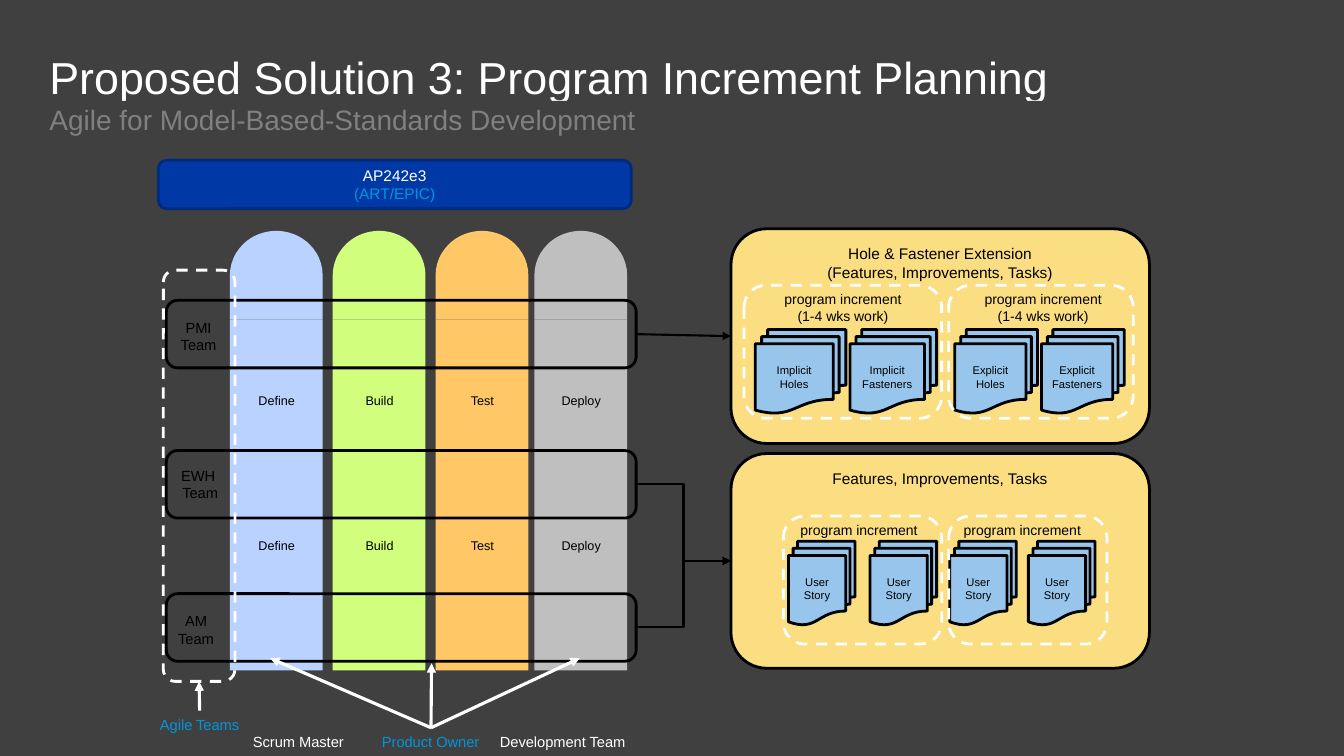
from lxml.etree import SubElement
from pptx import Presentation
from pptx.dml.color import RGBColor
from pptx.enum.dml import MSO_LINE
from pptx.enum.shapes import MSO_CONNECTOR, MSO_SHAPE
from pptx.enum.text import MSO_ANCHOR, PP_ALIGN
from pptx.oxml.ns import qn
from pptx.util import Inches, Pt

COLORS = {
    "background": "404040", "white": "FFFFFF", "black": "000000",
    "subtitle": "808080", "epic": "0039A6", "epic_edge": "002A7B",
    "accent": "0096DB", "define": "BAD2FF", "build": "D1FF7D",
    "test": "FFC766", "deploy": "BFBFBF", "feature": "FBDE81",
    "story": "97C5EB",
}
TOP, LEFT, BOTTOM, RIGHT = range(4)


def color(name):
    return RGBColor.from_string(COLORS[name])


class Board:
    font = "Arial"

    def __init__(self, slide):
        self.slide = slide
        self.shapes = slide.shapes
        fill = slide.background.fill
        fill.solid()
        fill.fore_color.rgb = color("background")

    def start_group(self):
        self.shapes = self.slide.shapes.add_group_shape().shapes

    def end_group(self):
        self.shapes = self.slide.shapes

    def add_lines(self, shape, lines, size, ink="black", align=PP_ALIGN.CENTER,
                  anchor=MSO_ANCHOR.TOP):
        frame = shape.text_frame
        frame.word_wrap = True
        frame.vertical_anchor = anchor
        for index, line in enumerate(lines):
            paragraph = frame.add_paragraph() if index else frame.paragraphs[0]
            paragraph.alignment = align
            runs = [(line, ink)] if isinstance(line, str) else line
            for words, run_ink in runs:
                run = paragraph.add_run()
                run.text = words
                run.font.name = self.font
                run.font.size = Pt(size)
                run.font.color.rgb = color(run_ink)

    def text(self, box, lines, size, **style):
        label = self.shapes.add_textbox(*map(Inches, box))
        self.add_lines(label, lines, size, **style)
        return label

    def heading(self, box, words, size, ink):
        label = self.text(box, [words], size, ink=ink, align=PP_ALIGN.LEFT,
                          anchor=MSO_ANCHOR.MIDDLE)
        frame = label.text_frame
        frame.margin_left = frame.margin_right = frame.margin_bottom = 0
        frame.paragraphs[0].line_spacing = 0.9
        return label

    def shape(self, kind, box, fill=None, line=None, dashed=False):
        shape = self.shapes.add_shape(kind, *map(Inches, box))
        shape.shadow.inherit = False
        if fill:
            shape.fill.solid()
            shape.fill.fore_color.rgb = color(fill)
        else:
            shape.fill.background()
        if line:
            shape.line.color.rgb = color(line)
            shape.line.width = Pt(2)
            if dashed:
                shape.line.dash_style = MSO_LINE.DASH
        else:
            shape.line.fill.background()
        return shape

    def arrow(self, start, end, ink, width, kind=MSO_CONNECTOR.STRAIGHT,
              begin=None, finish=None):
        link = self.shapes.add_connector(kind, *map(Inches, (*start, *end)))
        if begin:
            link.begin_connect(*begin)
        if finish:
            link.end_connect(*finish)
        link.line.color.rgb = color(ink)
        link.line.width = Pt(width)
        properties = link._element.spPr
        SubElement(properties.get_or_add_ln(), qn("a:tailEnd"), type="triangle")
        SubElement(properties, qn("a:effectLst"))

    def column(self, left, name):
        dome = self.shape(MSO_SHAPE.FLOWCHART_DELAY, (left + 0.02, 2.27, 0.88, 0.92), name)
        dome.rotation = 270
        self.shape(MSO_SHAPE.RECTANGLE, (left, 3.17, 0.92, 3.48), name)
        for top in (3.85, 5.29):
            self.text((left, top, 0.93, 0.25), [name.capitalize()], 9)

    def team(self, top, label_box, lines):
        band = self.shape(MSO_SHAPE.ROUNDED_RECTANGLE, (1.65, top, 4.66, 0.67), line="black")
        self.text(label_box, lines, 10.5)
        return band

    def feature(self, top, lines, story_top, stories, increments, increment_box,
                captions, caption_lines, caption_align):
        self.start_group()
        panel = self.shape(MSO_SHAPE.ROUNDED_RECTANGLE, (7.25, top, 4.15, 2.13),
                           "feature", "black")
        self.add_lines(panel, lines, 11)
        for left, width, words in stories:
            story = self.shape(MSO_SHAPE.FLOWCHART_MULTIDOCUMENT,
                               (left, story_top, width, 0.83), "story", "black")
            self.add_lines(story, [words], 8, anchor=MSO_ANCHOR.MIDDLE)
        for left, width in increments:
            self.shape(MSO_SHAPE.ROUNDED_RECTANGLE,
                       (left, increment_box[0], width, increment_box[1]),
                       line="white", dashed=True)
        for left, width in captions:
            self.text((left, increment_box[0], width, 0.44), caption_lines, 10,
                      align=caption_align)
        self.end_group()
        return panel


def main():
    deck = Presentation()
    deck.slide_width, deck.slide_height = Inches(13.33), Inches(7.5)
    board = Board(deck.slides.add_slide(deck.slide_layouts[6]))

    board.heading((0.49, 0.5, 12.37, 0.54),
                  "Proposed Solution 3: Program Increment Planning", 32, "white")
    subtitle = board.heading((0.49, 1, 12.37, 0.35),
                             "Agile for Model-Based-Standards Development", 20, "subtitle")
    subtitle.fill.solid()
    subtitle.fill.fore_color.rgb = color("background")

    epic = board.shape(MSO_SHAPE.ROUNDED_RECTANGLE, (1.57, 1.59, 4.69, 0.48),
                       "epic", "epic_edge")
    board.add_lines(epic, [[("AP242e3", "white")], [("(ART/EPIC)", "accent")]], 11,
                    anchor=MSO_ANCHOR.MIDDLE)

    for left, name in zip((2.28, 3.3, 4.32, 5.3), ("define", "build", "test", "deploy")):
        board.column(left, name)

    pmi = board.team(2.98, (1.62, 3.11, 0.7, 0.45), ["PMI Team"])
    ewh = board.team(4.47, (1.64, 4.58, 0.69, 0.45), ["EWH ", "Team"])
    am = board.team(5.89, (1.61, 6.02, 0.67, 0.45), ["AM Team"])

    roles = board.text((2.24, 7.22, 4.07, 0.28), [
        [("Scrum Master\t", "white"), ("Product Owner\t", "accent"),
         ("Development Team", "white")]], 10.5, align=PP_ALIGN.LEFT)
    role_props = roles.text_frame.paragraphs[0]._p.get_or_add_pPr()
    role_props.set("marL", str(Inches(0.17)))
    tabs = SubElement(role_props, qn("a:tabLst"))
    for stop in (1.28, 2.45):
        SubElement(tabs, qn("a:tab"), pos=str(Inches(stop)), algn="l")
    for target in ((2.68, 6.53), (4.28, 6.58), (5.75, 6.53)):
        board.arrow((4.28, 7.22), target, "white", 2.25, begin=(roles, TOP))

    agile = board.shape(MSO_SHAPE.ROUNDED_RECTANGLE, (1.62, 2.68, 0.71, 4.08),
                        line="white", dashed=True)
    agile_label = board.text((1.48, 7.05, 1, 0.45), ["Agile Teams"], 10.5, ink="accent")
    board.arrow((1.98, 7.05), (1.98, 6.76), "white", 2.25,
                begin=(agile_label, TOP), finish=(agile, BOTTOM))

    extension = board.feature(
        2.27, ["Hole & Fastener Extension", "(Features, Improvements, Tasks)"], 3.27,
        [(7.49, 0.9, "Implicit Holes"), (8.43, 0.86, "Implicit Fasteners"),
         (9.47, 0.82, "Explicit Holes"), (10.33, 0.82, "Explicit Fasteners")],
        [(7.38, 1.96), (9.41, 1.83)], (2.83, 1.32), [(7.45, 1.82), (9.52, 1.65)],
        ["program increment", "(1-4 wks work)"], PP_ALIGN.CENTER)
    tasks = board.feature(
        4.5, ["Features, Improvements, Tasks"], 5.37,
        [(left, 0.66, "User Story") for left in (7.82, 8.63, 9.42, 10.2)],
        [(7.77, 1.57), (9.41, 1.57)], (5.12, 1.27), [(7.84, 1.41), (9.46, 1.41)],
        ["program increment"], PP_ALIGN.LEFT)

    for band, middle, panel, entry, kind in (
            (pmi, 3.32, extension, 3.33, MSO_CONNECTOR.STRAIGHT),
            (ewh, 4.81, tasks, 5.57, MSO_CONNECTOR.ELBOW),
            (am, 6.23, tasks, 5.57, MSO_CONNECTOR.ELBOW)):
        board.arrow((6.31, middle), (7.25, entry), "black", 1.5, kind,
                    begin=(band, RIGHT), finish=(panel, LEFT))

    deck.save("out.pptx")


if __name__ == "__main__":
    main()
